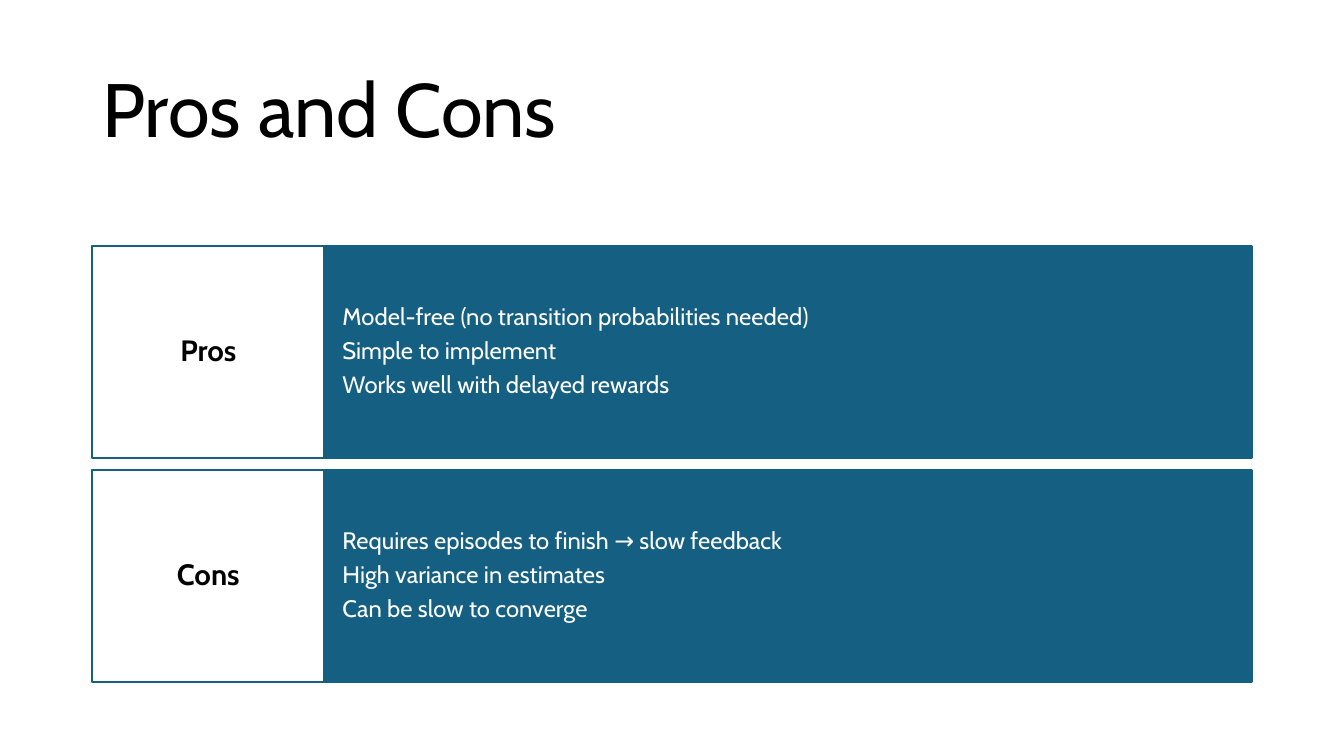
from dataclasses import dataclass

from pptx import Presentation
from pptx.dml.color import RGBColor
from pptx.enum.shapes import MSO_SHAPE
from pptx.enum.text import MSO_ANCHOR, PP_ALIGN
from pptx.util import Cm, Pt


@dataclass(frozen=True)
class Theme:
    font: str = "Cabin"
    black: RGBColor = RGBColor(0x00, 0x00, 0x00)
    white: RGBColor = RGBColor(0xFF, 0xFF, 0xFF)
    blue: RGBColor = RGBColor(0x15, 0x60, 0x82)
    title_size: float = 54
    label_size: float = 21
    body_size: float = 17
    outline_width: float = 1.5
    line_spacing: float = 0.9
    gap_ratio: float = 0.35  # space after a paragraph, relative to its type size


THEME = Theme()

# Layout in centimetres
LEFT, WIDTH = 2.33, 29.21
LABEL_WIDTH = 5.84
ROWS_TOP, ROW_HEIGHT, ROW_PITCH = 6.2, 5.34, 5.64

ROWS = [
    ("Pros", [
        "Model-free (no transition probabilities needed)",
        "Simple to implement",
        "Works well with delayed rewards",
    ]),
    ("Cons", [
        "Requires episodes to finish → slow feedback",
        "High variance in estimates",
        "Can be slow to converge",
    ]),
]


def write_text(shape, lines, *, size, color, bold=False, align=PP_ALIGN.LEFT,
               gap=0, side_margin=0.25, end_margin=0.13):
    """Fill a shape with one formatted paragraph per line."""
    frame = shape.text_frame
    frame.word_wrap = True
    frame.vertical_anchor = MSO_ANCHOR.MIDDLE
    frame.margin_left = frame.margin_right = Cm(side_margin)
    frame.margin_top = frame.margin_bottom = Cm(end_margin)
    frame.text = "\n".join(lines)
    for paragraph in frame.paragraphs:
        paragraph.alignment = align
        paragraph.line_spacing = THEME.line_spacing
        paragraph.space_after = Pt(gap)
        font = paragraph.font
        font.name, font.size, font.bold = THEME.font, Pt(size), bold
        font.color.rgb = color


def add_title(slide, text):
    box = slide.shapes.add_textbox(Cm(LEFT), Cm(1.01), Cm(WIDTH), Cm(3.68))
    write_text(box, [text], size=THEME.title_size, color=THEME.black)


def add_panel(slide, left, top, width, fill, lines, *, size, **text_format):
    """Add an outlined rectangle holding the given lines."""
    panel = slide.shapes.add_shape(
        MSO_SHAPE.RECTANGLE, Cm(left), Cm(top), Cm(width), Cm(ROW_HEIGHT))
    panel.shadow.inherit = False
    panel.fill.solid()
    panel.fill.fore_color.rgb = fill
    panel.line.color.rgb = THEME.blue
    panel.line.width = Pt(THEME.outline_width)
    write_text(panel, lines, size=size, gap=size * THEME.gap_ratio, **text_format)


def add_row(slide, top, label, points):
    add_panel(slide, LEFT + LABEL_WIDTH, top, WIDTH - LABEL_WIDTH, THEME.blue, points,
              size=THEME.body_size, color=THEME.white,
              side_margin=0.46, end_margin=1.35)
    add_panel(slide, LEFT, top, LABEL_WIDTH, THEME.white, [label],
              size=THEME.label_size, color=THEME.black, bold=True,
              align=PP_ALIGN.CENTER, side_margin=0.3, end_margin=0.53)


def main():
    presentation = Presentation()
    presentation.slide_width, presentation.slide_height = Cm(33.87), Cm(19.05)
    slide = presentation.slides.add_slide(presentation.slide_layouts[6])

    # Heading
    add_title(slide, "Pros and Cons")

    # One labelled row for each side of the argument
    for index, (label, points) in enumerate(ROWS):
        add_row(slide, ROWS_TOP + index * ROW_PITCH, label, points)

    presentation.save("out.pptx")


if __name__ == "__main__":
    main()
